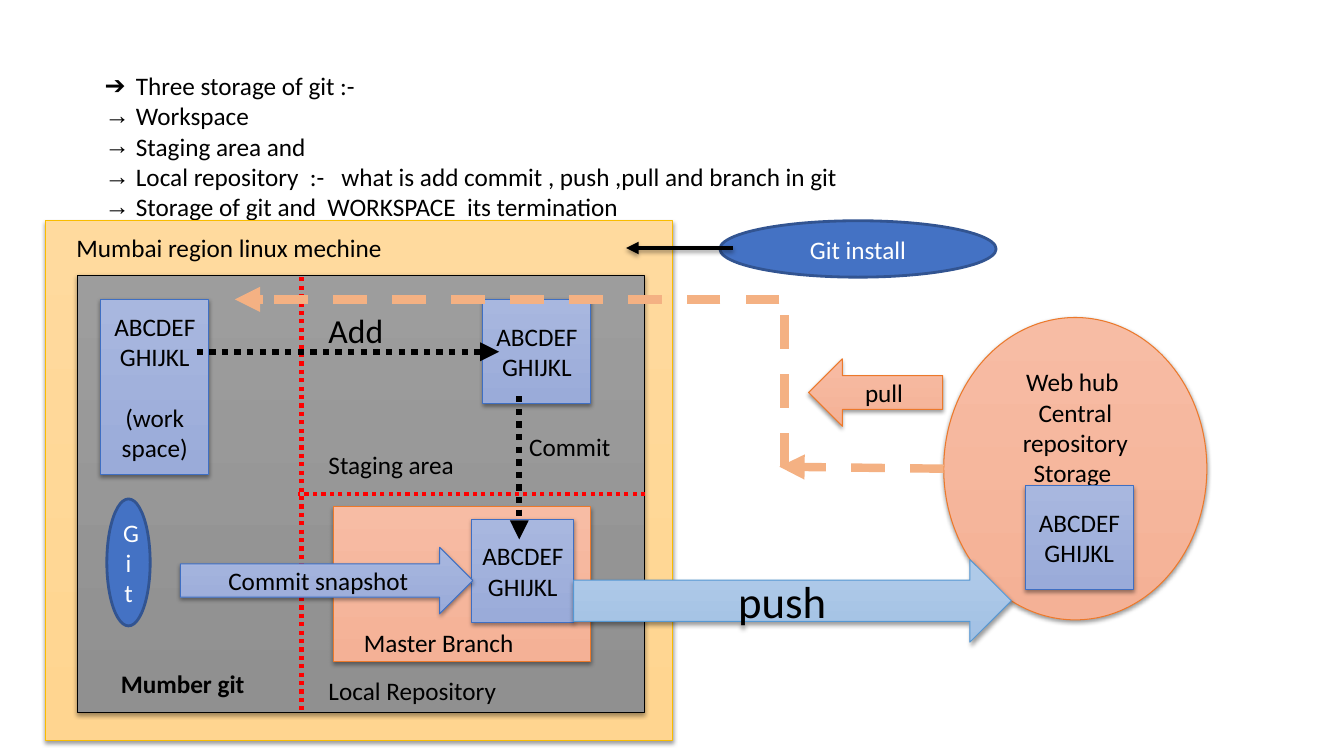
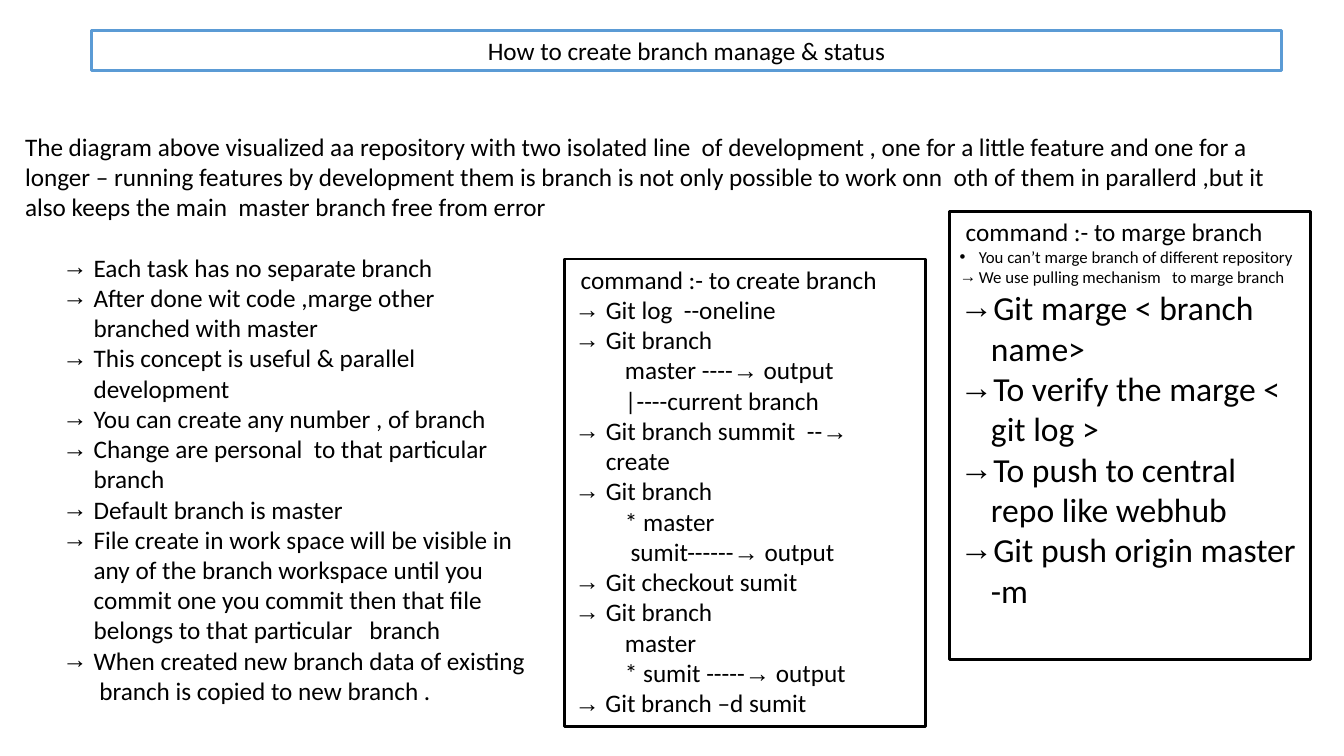
from dataclasses import dataclass

from lxml.etree import SubElement
from pptx import Presentation
from pptx.dml.color import RGBColor
from pptx.enum.dml import MSO_LINE
from pptx.enum.shapes import MSO_CONNECTOR, MSO_SHAPE
from pptx.enum.text import MSO_ANCHOR, PP_ALIGN
from pptx.oxml.ns import qn
from pptx.util import Inches, Pt


@dataclass(frozen=True)
class Theme:
    font: str = "Calibri"
    symbol_font: str = "Arial"
    small: int = 12
    body: int = 18
    large: int = 24
    huge: int = 32
    hang: float = 0.31
    small_hang: float = 0.19
    black: str = "000000"
    white: str = "FFFFFF"
    red: str = "FF0000"
    peach: str = "F4B183"
    gold_panel: tuple = (("FFDA9E", "FFD590"), "F9BC00", 0.75)
    gray_panel: tuple = (("9D9D9D", "909090"), "000000", 0.75)
    periwinkle: tuple = (("A8B7DF", "9AABD9"), "3F6FC3", 0.75)
    salmon: tuple = (("F7BCA4", "F4B196"), "EC792B", 0.75)
    sky: tuple = (("B1CBE9", "A2C1E4"), "5698D3", 0.75)
    solid_blue: tuple = (("4472C4",), "325491", 2)
    title_frame: tuple = (("FFFFFF",), "5B9BD5", 2)
    command_frame: tuple = (("FFFFFF",), "000000", 2)


THEME = Theme()


def write(frame, text, *, size=THEME.body, color=THEME.black, bold=False,
          align=PP_ALIGN.LEFT, bullet=None, hang=THEME.hang, indent=0, before=0):
    para = frame.paragraphs[0]
    if para.runs:
        para = frame.add_paragraph()
    para.alignment = align
    if before:
        para.space_before = Pt(before)
    properties = para._p.get_or_add_pPr()
    if bullet:
        properties.set("marL", str(Inches(hang)))
        properties.set("indent", str(-Inches(hang)))
        tint = SubElement(properties, qn("a:buClr"))
        SubElement(tint, qn("a:srgbClr"), val=color)
        SubElement(properties, qn("a:buFont"), typeface=THEME.symbol_font)
        SubElement(properties, qn("a:buChar"), char=bullet)
    elif indent:
        properties.set("marL", str(Inches(indent)))
    for part in filter(None, text.partition("→")):
        span = para.add_run()
        span.text = part
        span.font.name = THEME.symbol_font if part == "→" else THEME.font
        span.font.size = Pt(size)
        span.font.bold = bold
        span.font.color.rgb = RGBColor.from_string(color)


class Board:
    def __init__(self, theme):
        self.theme = theme
        self.deck = Presentation()
        self.deck.slide_width = Inches(13.33)
        self.deck.slide_height = Inches(7.5)
        self.page = None

    def add_page(self):
        self.page = self.deck.slides.add_slide(self.deck.slide_layouts[6])

    def set_effects(self, item, shadow, strength=38, distance=1.6):
        effects = SubElement(item._element.spPr, qn("a:effectLst"))
        if shadow:
            outer = SubElement(effects, qn("a:outerShdw"), blurRad=str(Pt(3.1)),
                               dist=str(Pt(distance)), dir="5400000", rotWithShape="0")
            tint = SubElement(outer, qn("a:srgbClr"), val=self.theme.black)
            SubElement(tint, qn("a:alpha"), val=str(strength * 1000))

    def set_text(self, box, lines, anchor, **defaults):
        frame = box.text_frame
        frame.word_wrap = True
        frame.vertical_anchor = anchor
        for line in [lines] if isinstance(lines, str) else lines:
            text, changes = (line, {}) if isinstance(line, str) else line
            write(frame, text, **{**defaults, **changes})

    def text(self, left, top, width, height, lines, anchor=MSO_ANCHOR.TOP, **defaults):
        box = self.page.shapes.add_textbox(
            Inches(left), Inches(top), Inches(width), Inches(height))
        self.set_text(box, lines, anchor, **defaults)

    def shape(self, left, top, width, height, style, lines=(), kind=MSO_SHAPE.RECTANGLE,
              anchor=MSO_ANCHOR.MIDDLE, align=PP_ALIGN.CENTER, **defaults):
        colors, outline, weight = style
        box = self.page.shapes.add_shape(
            kind, Inches(left), Inches(top), Inches(width), Inches(height))
        if len(colors) == 1:
            box.fill.solid()
            box.fill.fore_color.rgb = RGBColor.from_string(colors[0])
        else:
            box.fill.gradient()
            box.fill.gradient_angle = 270
            for stop, color in zip(box.fill.gradient_stops, colors):
                stop.color.rgb = RGBColor.from_string(color)
        box.line.color.rgb = RGBColor.from_string(outline)
        box.line.width = Pt(weight)
        self.set_effects(box, len(colors) > 1)
        self.set_text(box, lines, anchor, align=align, **defaults)

    def line(self, start, end, color, weight, dash=None, arrow=False, shadow=False):
        link = self.page.shapes.add_connector(
            MSO_CONNECTOR.STRAIGHT, *map(Inches, (*start, *end)))
        link.line.color.rgb = RGBColor.from_string(color)
        link.line.width = Pt(weight)
        if dash:
            link.line.dash_style = dash
        if arrow:
            SubElement(link.line._get_or_add_ln(), qn("a:tailEnd"), type="triangle")
        self.set_effects(link, shadow, strength=35, distance=1.8)

    def file_block(self, left, top, width=1.07, height=1.03, extra=()):
        self.shape(left, top, width, height, self.theme.periwinkle,
                   ["ABCDEFGHIJKL", *extra])


def build_storage_page(board):
    theme = board.theme
    dots, dashes = MSO_LINE.ROUND_DOT, MSO_LINE.DASH
    board.add_page()
    board.text(0.94, 0.65, 11.74, 1.6, [
        ("Three storage of git :-", {"bullet": "➔"}),
        "Workspace",
        "Staging area and",
        "Local repository  :-   what is add commit , push ,pull and branch in git",
        "Storage of git and  WORKSPACE  its termination",
    ], bullet="→")

    board.shape(0.45, 2.19, 6.22, 5.16, theme.gold_panel)
    board.shape(0.77, 2.73, 5.62, 4.34, theme.gray_panel)
    board.line((2.99, 2.75), (2.99, 7.09), theme.red, 3, dots)
    board.line((6.4, 4.9), (2.96, 4.9), theme.red, 3, dots)
    board.text(0.66, 2.26, 5.74, 0.4, "Mumbai region linux mechine")
    board.shape(7.14, 2.19, 2.74, 0.56, theme.solid_blue, "Git install",
                MSO_SHAPE.OVAL, color=theme.white)
    board.line((7.27, 2.46), (6.21, 2.46), theme.black, 3, arrow=True, shadow=True)

    board.file_block(1, 2.97, height=1.74, extra=[("(work space)", {"before": 22})])
    board.text(0.94, 6.55, 1.8, 0.45, "Mumber git ", MSO_ANCHOR.MIDDLE,
               bold=True, align=PP_ALIGN.CENTER)
    board.text(3.16, 4.41, 2.3, 0.4, "Staging area")
    board.text(3.16, 6.65, 2.9, 0.4, "Local Repository")
    board.file_block(4.79, 2.97)
    board.line((1.95, 3.49), (4.95, 3.49), theme.black, 4.5, dots, arrow=True)
    board.text(3.16, 3.03, 0.8, 0.5, "Add", size=theme.large)

    board.shape(3.31, 5.03, 2.55, 1.53, theme.salmon)
    board.text(3.51, 6.17, 2.02, 0.4, "Master Branch")
    board.file_block(4.68, 5.15, width=1.01)
    board.line((5.15, 3.93), (5.15, 5.35), theme.black, 4.5, dots, arrow=True)
    board.text(5.15, 4.23, 1.38, 0.4, "Commit")
    board.shape(1.79, 5.43, 2.9, 0.66, theme.periwinkle, "Commit snapshot",
                MSO_SHAPE.RIGHT_ARROW)
    board.shape(1.06, 4.95, 0.43, 1.26, theme.solid_blue, "Git ",
                MSO_SHAPE.OVAL, color=theme.white)

    board.shape(9.36, 3.15, 2.61, 3, theme.salmon,
                ["Web hub ", "Central repository", "Storage "],
                MSO_SHAPE.OVAL, MSO_ANCHOR.TOP)
    board.shape(5.69, 5.55, 4.34, 0.82, theme.sky, "push",
                MSO_SHAPE.RIGHT_ARROW, size=theme.huge)
    board.file_block(10.17, 4.82)
    for start, end, dash, arrow in (
        ((9.36, 4.65), (7.73, 4.63), dashes, True),
        ((7.78, 4.63), (7.78, 2.91), dashes, False),
        ((7.73, 2.97), (2.6, 2.97), dashes, False),
        ((2.61, 2.97), (2.33, 2.97), None, True),
    ):
        board.line(start, end, theme.peach, 6, dash, arrow)
    board.shape(8.02, 3.56, 1.33, 0.67, theme.salmon, "pull", MSO_SHAPE.LEFT_ARROW)


def build_branch_page(board):
    theme = board.theme
    heading = {"bullet": None, "indent": 0.06, "size": theme.body}
    plain = {"bullet": None}
    note = {"size": theme.small, "hang": theme.small_hang}
    board.add_page()
    board.text(0.15, 1.25, 12.9, 1.3, (
        "The diagram above visualized aa repository with two isolated line  of "
        "development , one for a little feature and one for a longer – running "
        "features by development them is branch is not only possible to work onn  "
        "oth of them in parallerd ,but it also keeps the main  master branch free "
        "from error"))
    board.text(0.52, 2.45, 4.88, 4.6, [
        "Each task has no separate branch",
        "After done wit code ,marge other branched with master",
        "This concept is useful & parallel development",
        "You can create any number , of branch",
        "Change are personal  to that particular   branch",
        "Default branch is master",
        "File create in work space will be visible in any of the branch workspace until "
        "you commit one you commit then that file belongs to that particular   branch",
        "When created new branch data of existing   branch is copied to new branch .",
    ], bullet="→")
    board.shape(0.91, 0.3, 11.8, 0.4, theme.title_frame,
                "How to create branch manage & status", anchor=MSO_ANCHOR.TOP)
    board.shape(5.6, 2.57, 3.58, 4.64, theme.command_frame, [
        ("command :- to create branch", heading),
        "Git log  --oneline",
        "Git branch",
        ("\tmaster ----→ output", plain),
        ("\t|----current branch", plain),
        "Git branch summit  --→ create",
        "Git branch",
        ("\t* master", plain),
        ("\t sumit------→ output", plain),
        "Git checkout sumit",
        "Git branch",
        ("\tmaster", plain),
        ("\t* sumit -----→ output", plain),
        ("→ Git branch –d sumit", plain),
    ], anchor=MSO_ANCHOR.TOP, align=PP_ALIGN.LEFT, bullet="→")
    board.shape(9.42, 2.1, 3.58, 4.44, theme.command_frame, [
        ("command :- to marge branch", heading),
        ("You can’t marge branch of different repository", {**note, "bullet": "•"}),
        ("We use pulling mechanism   to marge branch", note),
        "Git marge < branch name>",
        "To verify the marge < git log >",
        "To push to central repo like webhub",
        "Git push origin master -m",
    ], anchor=MSO_ANCHOR.TOP, align=PP_ALIGN.LEFT, bullet="→", size=theme.large)


def main():
    board = Board(THEME)
    build_storage_page(board)
    build_branch_page(board)
    board.deck.save("out.pptx")


if __name__ == "__main__":
    main()
